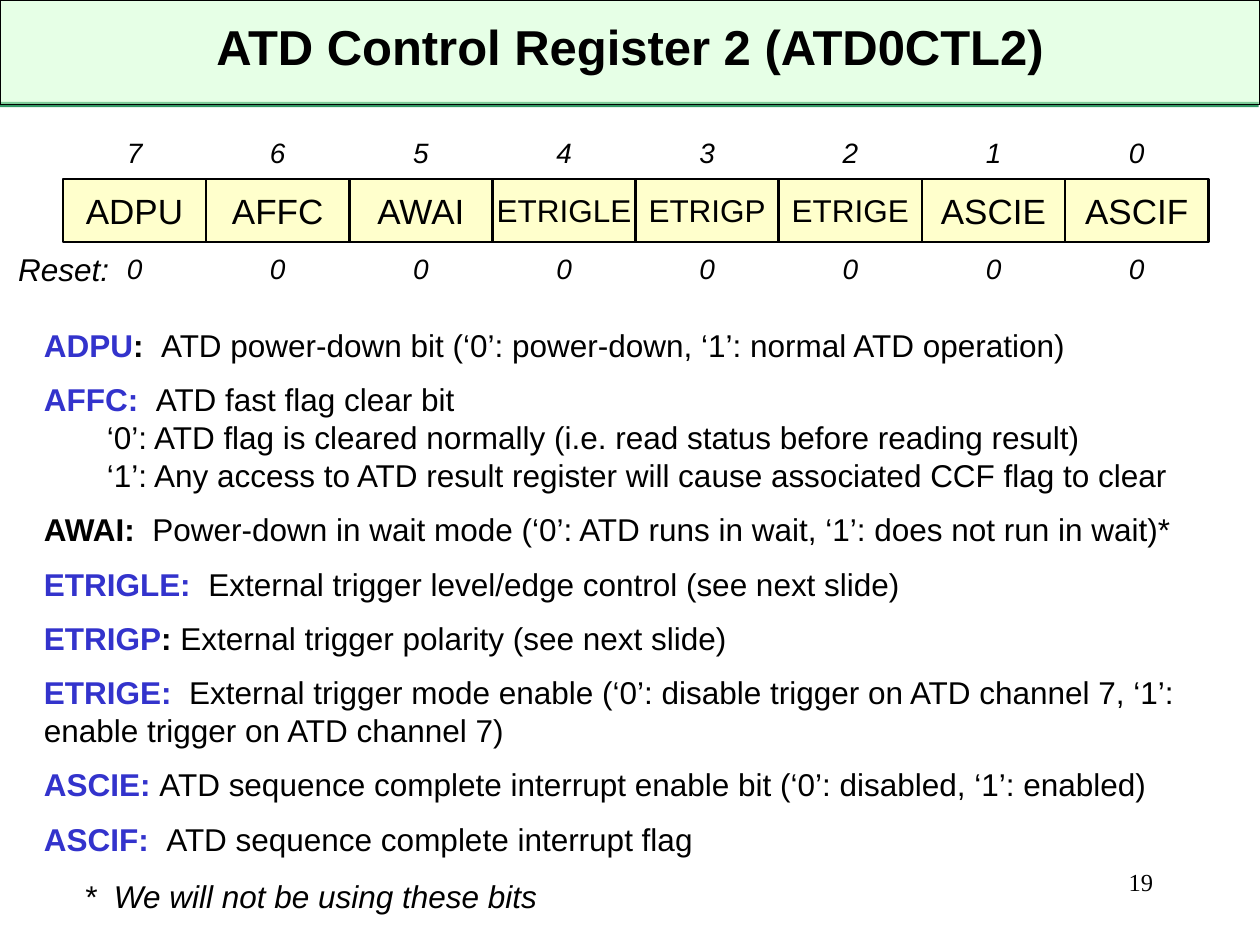
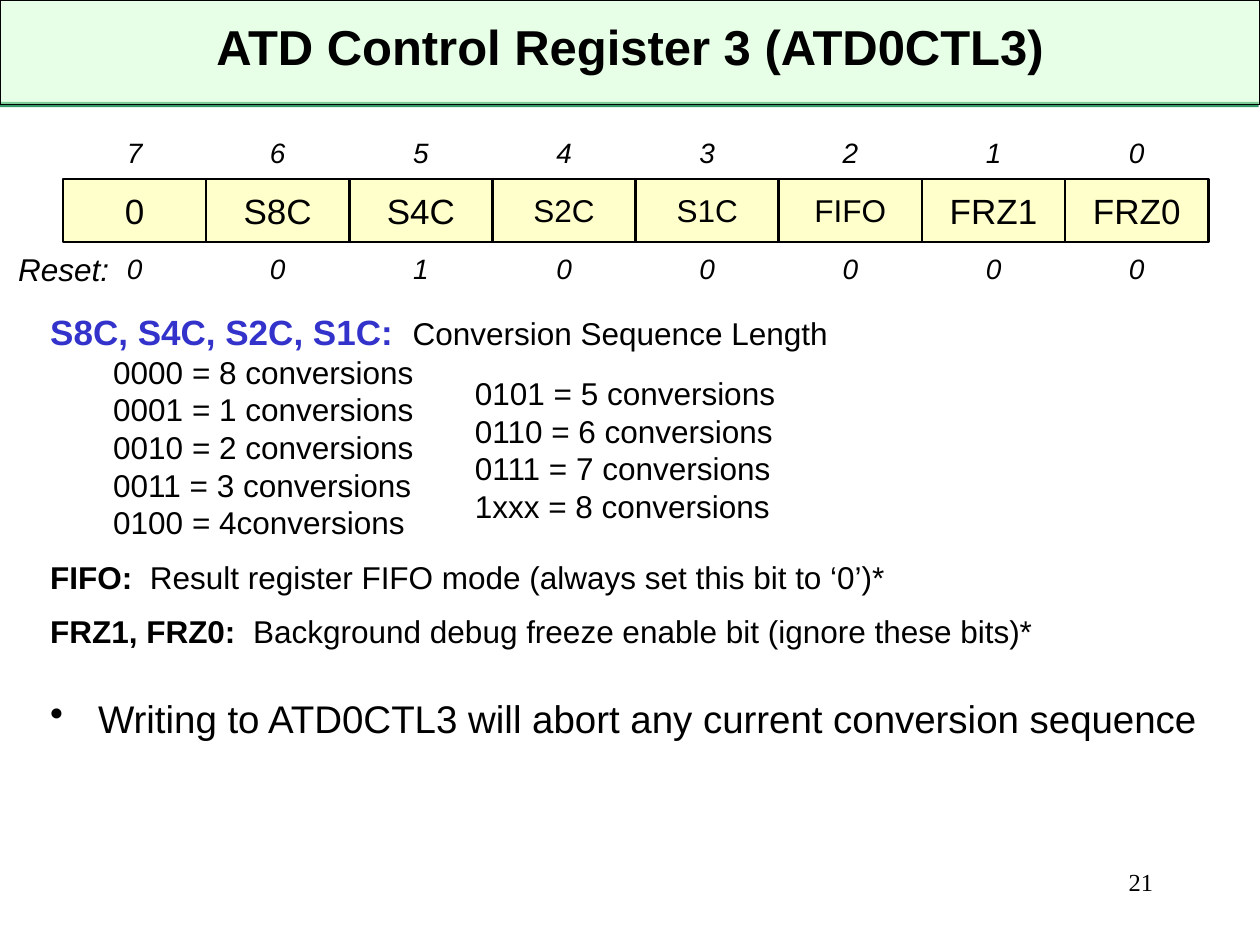
from dataclasses import dataclass

from lxml.etree import SubElement
from pptx import Presentation
from pptx.dml.color import RGBColor
from pptx.enum.shapes import MSO_SHAPE
from pptx.enum.text import MSO_ANCHOR, MSO_AUTO_SIZE, PP_ALIGN
from pptx.oxml.ns import qn
from pptx.util import Inches, Pt


@dataclass(frozen=True)
class Theme:
    black: str = "000000"
    term: str = "3333CC"
    band: str = "CCFFCC"
    band_alpha: int = 49
    band_edge: str = "339966"
    cell: str = "FFFFCC"
    sans: str = "Arial"
    serif: str = "Times New Roman"
    title: int = 28
    bullet: int = 22
    large: int = 20
    body: int = 18
    bit: int = 16
    page_number: int = 14
    line_pitch: float = 1.195
    entry_gap: float = 9.6


THEME = Theme()
BITS = "76543210"
FIELD_SIZES = [THEME.large] * 3 + [THEME.body] * 3 + [THEME.large] * 2


# Text helpers
def add_span(para, text, size, color=THEME.black, bold=False, italic=False, font=THEME.sans):
    span = para.add_run()
    span.text = text
    span.font.name = font
    span.font.size = Pt(size)
    span.font.bold = bold
    span.font.italic = italic
    span.font.color.rgb = RGBColor.from_string(color)


def add_box(slide, left, top, width, height):
    box = slide.shapes.add_textbox(Inches(left), Inches(top), Inches(width), Inches(height))
    box.text_frame.word_wrap = True
    return box


def add_label(box, text, size, italic=False):
    """Centre one line in a box without side insets."""
    frame = box.text_frame
    frame.margin_left = frame.margin_right = 0
    frame.vertical_anchor = MSO_ANCHOR.MIDDLE
    para = frame.paragraphs[0]
    para.alignment = PP_ALIGN.CENTER
    add_span(para, text, size, italic=italic)


def next_para(frame, size=THEME.body, gap=0.0, indent=0.0, hanging=0.0):
    """Start a line of body text, reusing the empty first paragraph."""
    first = frame.paragraphs[0]
    para = frame.add_paragraph() if first.runs else first
    para.line_spacing = Pt(round(size * THEME.line_pitch, 1))
    para.space_before = Pt(gap)
    properties = para._p.get_or_add_pPr()
    properties.set("marL", str(Inches(indent)))
    properties.set("indent", str(-Inches(hanging)))
    return para


def add_entry(frame, term, text, color=THEME.term, tail="", gap=THEME.entry_gap,
              term_size=THEME.body):
    para = next_para(frame, term_size, gap)
    add_span(para, term, term_size, color, bold=True)
    if tail:
        add_span(para, tail, THEME.body, bold=True)
    add_span(para, text, THEME.body)


def add_values(frame, lines):
    for line in lines:
        add_span(next_para(frame, indent=0.5), line, THEME.body)


def add_bullet(frame, text, gap):
    para = next_para(frame, THEME.bullet, gap, indent=0.38, hanging=0.38)
    SubElement(para._p.get_or_add_pPr(), qn("a:buChar")).set("char", "•")
    add_span(para, text, THEME.bullet)


# Shapes
def add_rect(slide, left, top, width, height, fill, line_width=0.0):
    rect = slide.shapes.add_shape(MSO_SHAPE.RECTANGLE, Inches(left), Inches(top),
                                  Inches(width), Inches(height))
    rect.shadow.inherit = False
    rect.fill.solid()
    rect.fill.fore_color.rgb = RGBColor.from_string(fill)
    if line_width:
        rect.line.color.rgb = RGBColor.from_string(THEME.black)
        rect.line.width = Pt(line_width)
    else:
        rect.line.fill.background()
    return rect


# Title band and page number
def add_page(deck, title, number):
    slide = deck.slides.add_slide(deck.slide_layouts[5])
    edge = add_rect(slide, 0, 0.81, 9.99, 0.04, THEME.band_edge)
    band = add_rect(slide, 0, 0, 10, 0.83, THEME.band, 0.75)
    tint = band.element.spPr.find(qn("a:solidFill")).find(qn("a:srgbClr"))
    SubElement(tint, qn("a:alpha")).set("val", str(THEME.band_alpha * 1000))

    heading = slide.shapes.title
    for part in (edge, band):
        heading.element.addprevious(part.element)
    heading.left, heading.top = Inches(0.5), Inches(0.08)
    heading.width, heading.height = Inches(9), Inches(0.67)
    frame = heading.text_frame
    frame.auto_size = MSO_AUTO_SIZE.NONE
    frame.vertical_anchor = MSO_ANCHOR.TOP
    frame.paragraphs[0].alignment = PP_ALIGN.CENTER
    add_span(frame.paragraphs[0], title, THEME.title, bold=True)

    para = add_box(slide, 7.17, 6.83, 2.08, 0.5).text_frame.paragraphs[0]
    para.alignment = PP_ALIGN.RIGHT
    add_span(para, number, THEME.page_number, font=THEME.serif)
    return slide


# Register diagram: bit numbers, named fields, reset values
def add_register(slide, left, top, width, fields, resets):
    label_height, cell_height = 0.42, 0.5
    cell_top = top + label_height
    reset_top = cell_top + cell_height
    cell_width = width / len(fields)
    for column, (bit, field, size, reset) in enumerate(zip(BITS, fields, FIELD_SIZES, resets)):
        x = left + column * cell_width
        cell = add_rect(slide, x, cell_top, cell_width, cell_height, THEME.cell, 1.5)
        add_label(cell, field, size)
        for y, digit in ((top, bit), (reset_top, reset)):
            add_label(add_box(slide, x, y, cell_width, label_height), digit, THEME.bit, True)
    caption = add_box(slide, left - 0.58, reset_top, 1.17, label_height)
    add_label(caption, "Reset:", THEME.body, True)


def build_control_2(deck):
    slide = add_page(deck, "ATD Control Register 2 (ATD0CTL2)", "19")
    add_register(slide, 0.5, 1, 9.09,
                 ["ADPU", "AFFC", "AWAI", "ETRIGLE", "ETRIGP", "ETRIGE", "ASCIE", "ASCIF"],
                 "00000000")

    # Field descriptions
    frame = add_box(slide, 0.25, 2.54, 9.49, 4.38).text_frame
    add_entry(frame, "ADPU", "ATD power-down bit (‘0’: power-down, ‘1’: normal ATD operation)",
              tail=":  ", gap=0)
    add_entry(frame, "AFFC:  ", "ATD fast flag clear bit")
    add_values(frame, [
        "‘0’: ATD flag is cleared normally (i.e. read status before reading result)",
        "‘1’: Any access to ATD result register will cause associated CCF flag to clear",
    ])
    add_entry(frame, "AWAI:  ",
              "Power-down in wait mode (‘0’: ATD runs in wait, ‘1’: does not run in wait)*",
              THEME.black)
    add_entry(frame, "ETRIGLE:  ", "External trigger level/edge control (see next slide)")
    add_entry(frame, "ETRIGP", "External trigger polarity (see next slide)", tail=": ")
    add_entry(frame, "ETRIGE:  ", "External trigger mode enable (‘0’: disable trigger on "
              "ATD channel 7, ‘1’: enable trigger on ATD channel 7)")
    add_entry(frame, "ASCIE: ",
              "ATD sequence complete interrupt enable bit (‘0’: disabled, ‘1’: enabled)")
    add_entry(frame, "ASCIF:  ", "ATD sequence complete interrupt flag")

    # Footnote
    note = add_box(slide, 0.57, 6.91, 3.83, 0.4).text_frame
    note.word_wrap = False
    add_span(next_para(note), "*  We will not be using these bits", THEME.body, italic=True)


def build_control_3(deck):
    slide = add_page(deck, "ATD Control Register 3 (ATD0CTL3)", "21")
    add_register(slide, 0.5, 1, 9.09,
                 ["0", "S8C", "S4C", "S2C", "S1C", "FIFO", "FRZ1", "FRZ0"], "00100000")

    # Field descriptions
    frame = add_box(slide, 0.3, 2.42, 9.49, 4.18).text_frame
    add_entry(frame, "S8C, S4C, S2C, S1C:  ", "Conversion Sequence Length",
              gap=0, term_size=THEME.large)
    add_values(frame, ["0000 = 8 conversions", "0001 = 1 conversions", "0010 = 2 conversions",
                       "0011 = 3 conversions", "0100 = 4conversions"])
    add_entry(frame, "FIFO:  ", "Result register FIFO mode (always set this bit to ‘0’)*",
              THEME.black)
    add_entry(frame, "FRZ1, FRZ0:  ", "Background debug freeze enable bit (ignore these bits)*",
              THEME.black)
    add_bullet(frame, "Writing to ATD0CTL3 will abort any current conversion sequence", gap=26)

    # Second column of sequence lengths
    column = add_box(slide, 3.17, 2.92, 3.58, 1.31).text_frame
    add_values(column, ["0101 = 5 conversions", "0110 = 6 conversions",
                        "0111 = 7 conversions", "1xxx = 8 conversions"])


def main():
    deck = Presentation()
    deck.slide_width, deck.slide_height = Inches(10), Inches(7.5)
    build_control_2(deck)
    build_control_3(deck)
    deck.save("out.pptx")


if __name__ == "__main__":
    main()
